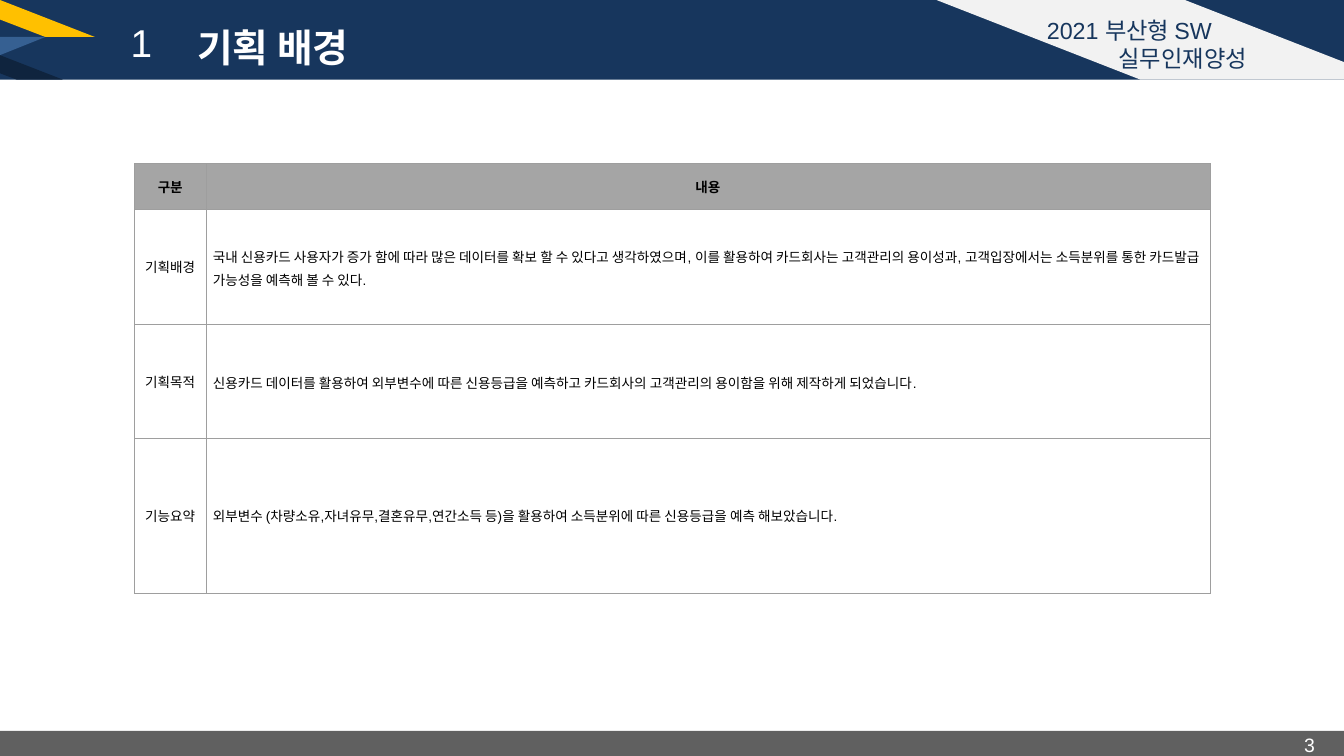
from pptx import Presentation
from pptx.dml.color import RGBColor
from pptx.enum.shapes import MSO_SHAPE
from pptx.enum.text import MSO_ANCHOR, PP_ALIGN
from pptx.oxml import parse_xml
from pptx.oxml.ns import nsdecls
from pptx.util import Inches, Pt

WIDTH, HEIGHT = 19.26, 10.83
COLORS = {
    "navy": "17365D", "gold": "FFC000", "blue": "366092", "midnight": "0F243E",
    "footer": "606060", "badge": "F2F2F2", "head": "A5A5A5", "border": "9E9E9E",
    "white": "FFFFFF", "black": "000000",
}


class SlideBuilder:
    font = "Arial"

    def __init__(self, slide):
        self.slide = slide

    def paint(self, shape, color):
        shape.shadow.inherit = False
        shape.fill.solid()
        shape.fill.fore_color.rgb = RGBColor.from_string(COLORS[color])
        shape.line.fill.background()

    def bar(self, top, height, color):
        box = [Inches(v) for v in (0, top, WIDTH, height)]
        self.paint(self.slide.shapes.add_shape(MSO_SHAPE.RECTANGLE, *box), color)

    def polygon(self, points, color):
        start, *rest = [(Inches(x), Inches(y)) for x, y in points]
        outline = self.slide.shapes.build_freeform(*start)
        outline.add_line_segments(rest, close=True)
        self.paint(outline.convert_to_shape(), color)

    def add_line(self, paragraph, text, size, color, align, bold=False, spacing=None):
        paragraph.alignment = align
        if spacing:
            paragraph.line_spacing = spacing
        run = paragraph.add_run()
        run.text = text
        run.font.name = self.font
        run.font.size = Pt(size)
        run.font.bold = bold
        run.font.color.rgb = RGBColor.from_string(COLORS[color])

    def text(self, box, lines, size, color, align=PP_ALIGN.CENTER, bold=False,
             spacing=None, inset=(0.1, 0.05), anchor=MSO_ANCHOR.TOP):
        frame = self.slide.shapes.add_textbox(*[Inches(v) for v in box]).text_frame
        frame.word_wrap = True
        frame.vertical_anchor = anchor
        frame.margin_left = frame.margin_right = Inches(inset[0])
        frame.margin_top = frame.margin_bottom = Inches(inset[1])
        for i, line in enumerate(lines):
            paragraph = frame.add_paragraph() if i else frame.paragraphs[0]
            self.add_line(paragraph, line, size, color, align, bold, spacing)
        return frame

    def cell(self, cell, text, align, header, spacing):
        cell.vertical_anchor = MSO_ANCHOR.MIDDLE
        cell.margin_left = cell.margin_right = Inches(0.1)
        cell.margin_top = cell.margin_bottom = Inches(0.1)
        properties = cell._tc.get_or_add_tcPr()
        for side in "LRTB":
            properties.append(parse_xml(
                f'<a:ln{side} {nsdecls("a")} w="{Pt(0.75)}"><a:solidFill>'
                f'<a:srgbClr val="{COLORS["border"]}"/></a:solidFill></a:ln{side}>'))
        if header:
            cell.fill.solid()
            cell.fill.fore_color.rgb = RGBColor.from_string(COLORS["head"])
        else:
            cell.fill.background()
        self.add_line(cell.text_frame.paragraphs[0], text, 14, "black", align, header, spacing)

    def table(self, left, top, widths, heights, rows, spacings):
        box = [Inches(v) for v in (left, top, sum(widths), sum(heights))]
        table = self.slide.shapes.add_table(len(rows), len(widths), *box).table
        table.first_row = table.horz_banding = False
        for column, width in zip(table.columns, widths):
            column.width = Inches(width)
        for r, (height, row) in enumerate(zip(heights, rows)):
            table.rows[r].height = Inches(height)
            for c, text in enumerate(row):
                body = r > 0 and c > 0
                self.cell(table.cell(r, c), text,
                          PP_ALIGN.LEFT if body else PP_ALIGN.CENTER,
                          r == 0, spacings[r] if body else None)


def main():
    deck = Presentation()
    deck.slide_width, deck.slide_height = Inches(WIDTH), Inches(HEIGHT)
    page = SlideBuilder(deck.slides.add_slide(deck.slide_layouts[6]))

    # Header band and its ribbons
    page.bar(0, 1.14, "navy")
    page.polygon([(0, 0), (1.36, 0.53), (0.65, 0.53), (0, 0.28)], "gold")
    page.polygon([(0, 0.53), (0.65, 0.53), (0, 0.79)], "blue")
    page.polygon([(0, 0.79), (0.9, 1.14), (0.24, 1.14), (0, 1.05)], "midnight")

    # Footer with page number
    page.bar(10.47, 0.36, "footer")
    page.text((17.22, 10.46, 1.72, 0.3), ["3"], 20, "white", PP_ALIGN.RIGHT)

    # Programme badge, second line shifted right
    page.polygon([(13.42, 0), (16.98, 0), (19.26, 0.89), (19.26, 1.14), (16.34, 1.14)], "badge")
    programme = page.text((14.31, 0.22, 3.75, 0.81), ["2021 부산형 SW", "실무인재양성"],
                          24, "navy", inset=(0, 0), anchor=MSO_ANCHOR.BOTTOM)
    programme.paragraphs[1]._p.get_or_add_pPr().set("marL", str(Inches(1.53)))

    # Section number and title
    page.text((1.77, 0.22, 0.51, 0.77), ["1"], 40, "white")
    page.text((2.73, 0.22, 2.64, 0.78), ["기획 배경"], 40, "white",
              PP_ALIGN.LEFT, bold=True, spacing=1.1)

    # Planning table
    planning = [
        ("구분", "내용"),
        ("기획배경", "국내 신용카드 사용자가 증가 함에 따라 많은 데이터를 확보 할 수 있다고 생각하였으며, "
                 "이를 활용하여 카드회사는 고객관리의 용이성과, 고객입장에서는 소득분위를 통한 "
                 "카드발급 가능성을 예측해 볼 수 있다."),
        ("기획목적", "신용카드 데이터를 활용하여 외부변수에 따른 신용등급을 예측하고 "
                 "카드회사의 고객관리의 용이함을 위해 제작하게 되었습니다."),
        ("기능요약", "외부변수 (차량소유,자녀유무,결혼유무,연간소득 등)을 활용하여 "
                 "소득분위에 따른 신용등급을 예측 해보았습니다."),
    ]
    page.table(1.93, 2.34, (1.02, 14.39), (0.66, 1.64, 1.64, 2.22), planning,
               (None, 1.15, 1.15, None))

    deck.save("out.pptx")


if __name__ == "__main__":
    main()
